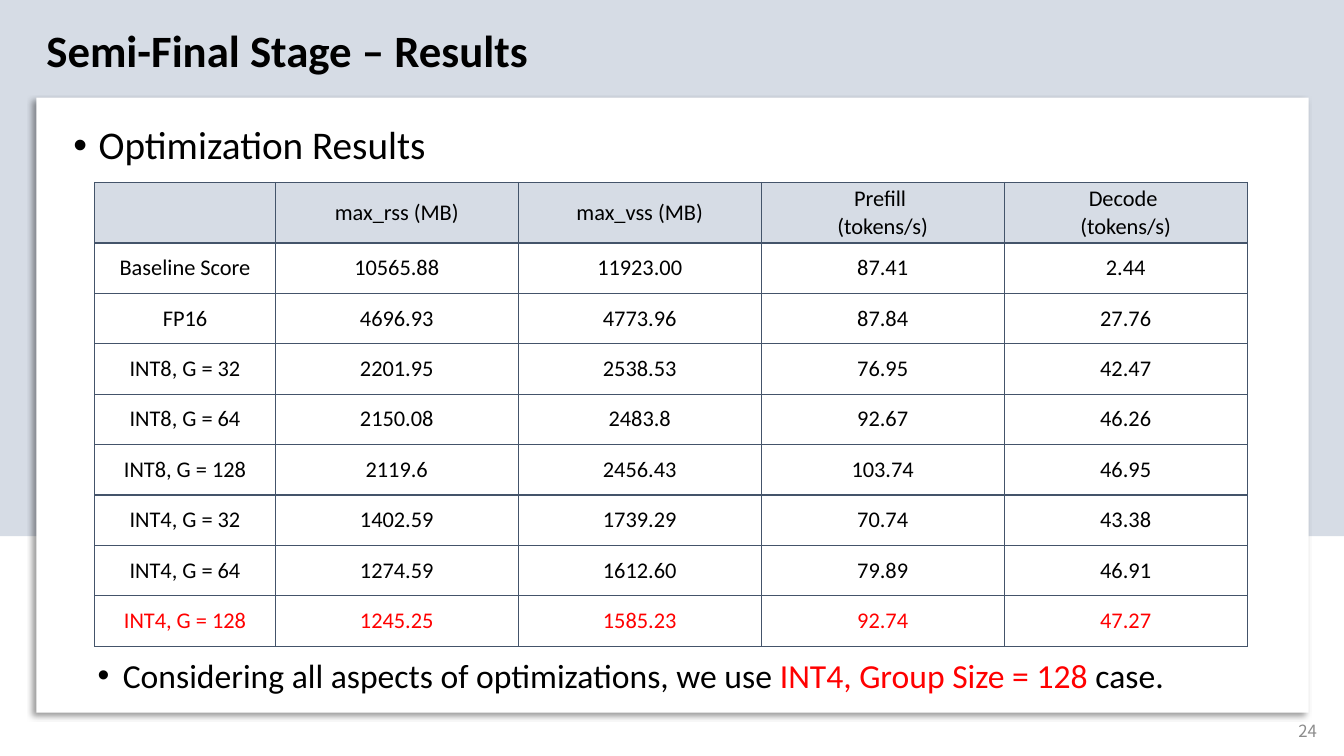
import dataclasses

import lxml.etree
import pptx
import pptx.dml.color
import pptx.enum.shapes
import pptx.enum.text
import pptx.oxml
import pptx.oxml.ns
import pptx.util

Inches = pptx.util.Inches
Pt = pptx.util.Pt
ALIGN = pptx.enum.text.PP_ALIGN
ANCHOR = pptx.enum.text.MSO_ANCHOR

BLACK, WHITE, RED = "000000", "FFFFFF", "FF0000"
PALE_BLUE, BORDER, GREY = "D6DCE5", "44546A", "8C8C8C"
FONT = "Calibri"
NUMBER_FONT = "Noto Sans CJK KR"


@dataclasses.dataclass(frozen=True)
class Area:
    left: float
    top: float
    width: float
    height: float

    def lengths(self) -> tuple:
        return tuple(Inches(value) for value in dataclasses.astuple(self))


@dataclasses.dataclass(frozen=True)
class Panel:
    area: Area
    fill: str
    shadowed: bool


@dataclasses.dataclass(frozen=True)
class Span:
    text: str
    color: str = BLACK


@dataclasses.dataclass(frozen=True)
class Bullet:
    area: Area
    size: int
    spans: tuple[Span, ...]


PANELS = (
    Panel(Area(0, 0, 13.33, 5.32), PALE_BLUE, False),
    Panel(Area(0.36, 0.97, 12.62, 6.1), WHITE, True),
)
BULLETS = (
    Bullet(Area(0.63, 1.2, 11.86, 4.88), 28, (Span("Optimization Results"),)),
    Bullet(
        Area(0.87, 6.49, 11.63, 0.47),
        24,
        (
            Span("Considering all aspects of optimizations, we use "),
            Span("INT4, Group Size = 128 ", RED),
            Span("case."),
        ),
    ),
)
RESULTS = (
    ("", "max_rss (MB)", "max_vss (MB)", "Prefill \n(tokens/s)", "Decode \n(tokens/s)"),
    ("Baseline Score", "10565.88", "11923.00", "87.41", "2.44"),
    ("FP16", "4696.93", "4773.96", "87.84", "27.76"),
    ("INT8, G = 32", "2201.95", "2538.53", "76.95", "42.47"),
    ("INT8, G = 64", "2150.08", "2483.8", "92.67", "46.26"),
    ("INT8, G = 128", "2119.6", "2456.43", "103.74", "46.95"),
    ("INT4, G = 32", "1402.59", "1739.29", "70.74", "43.38"),
    ("INT4, G = 64", "1274.59", "1612.60", "79.89", "46.91"),
    ("INT4, G = 128", "1245.25", "1585.23", "92.74", "47.27"),
)
TABLE_AREA = Area(0.94, 1.81, 11.44, 4.6)
LABEL_WIDTH, VALUE_WIDTH = 1.79, 2.41
HEADER_HEIGHT, ROW_HEIGHT = 0.6, 0.5


def rgb(color: str) -> pptx.dml.color.RGBColor:
    return pptx.dml.color.RGBColor.from_string(color)


def style_font(font, size: int, color: str = BLACK, name: str = FONT, bold: bool = False) -> None:
    font.size = Pt(size)
    font.name = name
    font.bold = bold
    font.color.rgb = rgb(color)


def add_xml(parent, markup: str) -> None:
    namespace = pptx.oxml.ns.nsdecls("a")
    parent.append(pptx.oxml.parse_xml(markup.replace("XMLNS", namespace, 1)))


def add_panel(page, panel: Panel) -> None:
    shape = page.shapes.add_shape(
        pptx.enum.shapes.MSO_SHAPE.RECTANGLE, *panel.area.lengths()
    )
    shape.fill.solid()
    shape.fill.fore_color.rgb = rgb(panel.fill)
    shape.line.fill.background()
    shape.shadow.inherit = False
    if panel.shadowed:
        effects = shape._element.spPr.find(pptx.oxml.ns.qn("a:effectLst"))
        add_xml(
            effects,
            f'<a:outerShdw XMLNS blurRad="{Pt(4)}" dist="{Pt(3)}" dir="{135 * 60000}" '
            'algn="tr" rotWithShape="0"><a:srgbClr val="000000">'
            '<a:alpha val="40000"/></a:srgbClr></a:outerShdw>',
        )


def place_title(page, text: str) -> None:
    title = page.shapes.title
    title.left, title.top, title.width, title.height = Area(0.36, 0.18, 9.63, 0.64).lengths()
    frame = title.text_frame
    frame.text = text
    frame.auto_size = pptx.enum.text.MSO_AUTO_SIZE.NONE
    frame.vertical_anchor = ANCHOR.TOP
    frame.paragraphs[0].alignment = ALIGN.LEFT
    style_font(frame.paragraphs[0].runs[0].font, 32, bold=True)
    title._element.getparent().append(title._element)


def add_bullet(page, bullet: Bullet) -> None:
    box = page.shapes.add_textbox(*bullet.area.lengths())
    box.text_frame.word_wrap = True
    para = box.text_frame.paragraphs[0]
    properties = para._p.get_or_add_pPr()
    properties.set("marL", str(Inches(0.25)))
    properties.set("indent", str(-Inches(0.25)))
    add_xml(properties, '<a:buFont XMLNS typeface="Arial"/>')
    add_xml(properties, '<a:buChar XMLNS char="•"/>')
    para.line_spacing = 0.9
    for span in bullet.spans:
        run = para.add_run()
        run.text = span.text
        style_font(run.font, bullet.size, span.color)


def format_cell(cell, text: str, color: str, fill: str | None) -> None:
    cell.text_frame.text = text
    cell.vertical_anchor = ANCHOR.MIDDLE
    cell.margin_left = cell.margin_right = Inches(0.03)
    cell.margin_top = cell.margin_bottom = Inches(0.02)
    for para in cell.text_frame.paragraphs:
        para.alignment = ALIGN.CENTER
        style_font(para.font, 16, color)
        for run in para.runs:
            style_font(run.font, 16, color)
    for side in "LRTB":
        add_xml(
            cell._tc.get_or_add_tcPr(),
            f'<a:ln{side} XMLNS w="{Pt(1)}"><a:solidFill>'
            f'<a:srgbClr val="{BORDER}"/></a:solidFill></a:ln{side}>',
        )
    if fill:
        cell.fill.solid()
        cell.fill.fore_color.rgb = rgb(fill)
    else:
        cell.fill.background()


def add_results_table(page) -> None:
    row_count, column_count = len(RESULTS), len(RESULTS[0])
    table = page.shapes.add_table(row_count, column_count, *TABLE_AREA.lengths()).table
    table.first_row = table.horz_banding = False
    for index, column in enumerate(table.columns):
        column.width = Inches(VALUE_WIDTH if index else LABEL_WIDTH)
    for index, row in enumerate(table.rows):
        row.height = Inches(ROW_HEIGHT if index else HEADER_HEIGHT)
        color = RED if index == row_count - 1 else BLACK
        fill = None if index else PALE_BLUE
        for cell, text in zip(row.cells, RESULTS[index]):
            format_cell(cell, text, color, fill)


def add_page_number(page, text: str) -> None:
    box = page.shapes.add_textbox(*Area(10.16, 7.05, 3, 0.4).lengths())
    box.text_frame.text = text
    box.text_frame.word_wrap = True
    box.text_frame.vertical_anchor = ANCHOR.MIDDLE
    para = box.text_frame.paragraphs[0]
    para.alignment = ALIGN.RIGHT
    style_font(para.runs[0].font, 12, GREY, NUMBER_FONT)


def main() -> None:
    deck = pptx.Presentation()
    deck.slide_width, deck.slide_height = Inches(13.33), Inches(7.5)
    page = deck.slides.add_slide(deck.slide_layouts.get_by_name("Title Only"))
    for panel in PANELS:
        add_panel(page, panel)
    add_page_number(page, "24")
    place_title(page, "Semi-Final Stage – Results")
    for bullet in BULLETS:
        add_bullet(page, bullet)
    add_results_table(page)
    deck.save("out.pptx")


if __name__ == "__main__":
    main()
